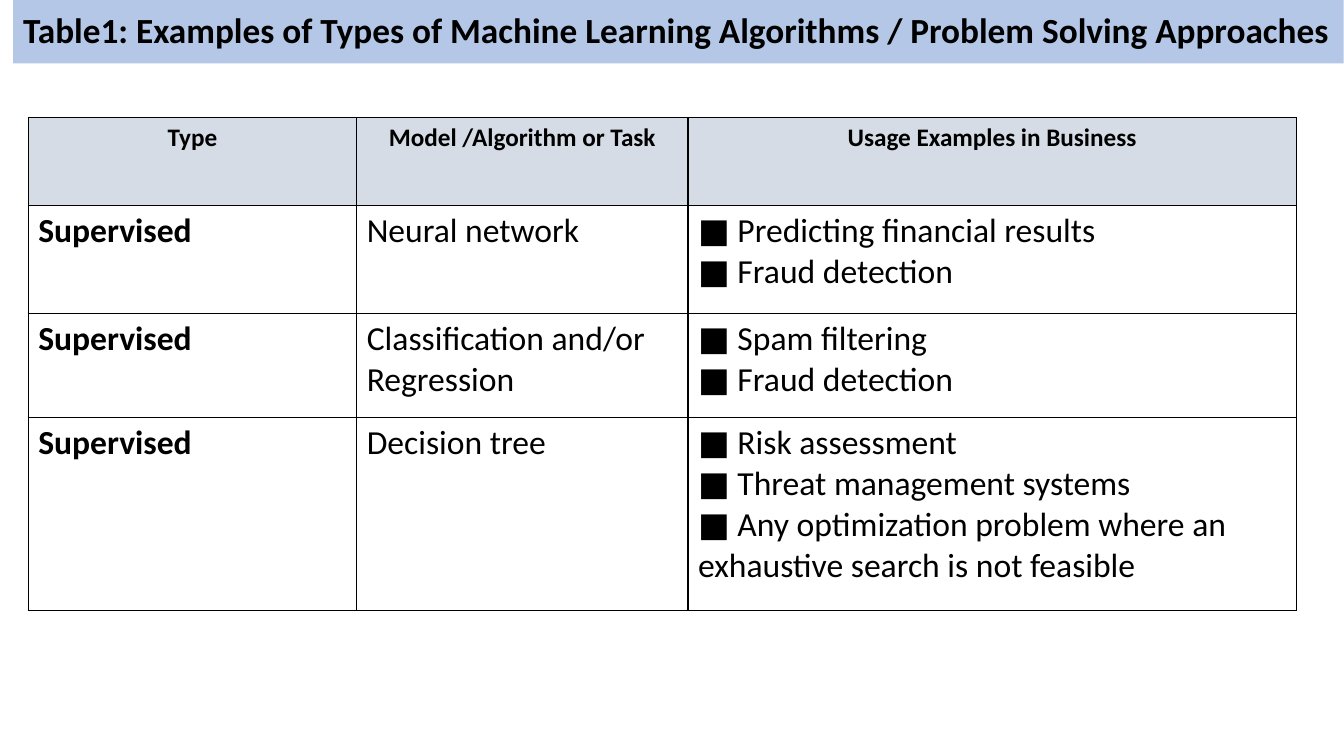
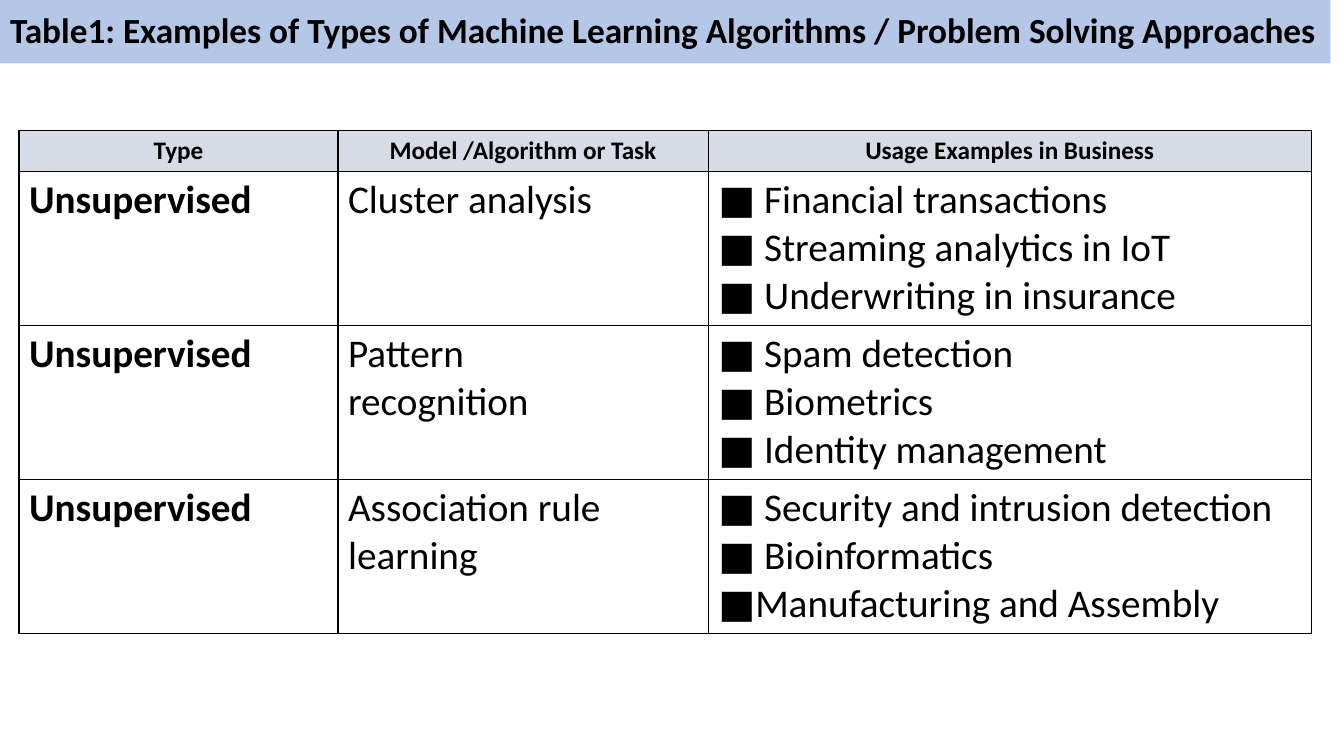
from dataclasses import dataclass

from lxml.etree import SubElement
from pptx import Presentation
from pptx.dml.color import RGBColor as Rgb
from pptx.enum.text import MSO_ANCHOR as Anchor, PP_ALIGN as Align
from pptx.oxml.ns import qn
from pptx.util import Cm, Pt

# Content
TITLE = ("Table1: Examples of Types of Machine Learning Algorithms"
         " / Problem Solving Approaches")
HEADS = ["Type", "Model /Algorithm or Task", "Usage Examples in Business"]
SLIDES = [
    dict(
        band=0.33, left=0.71, top=2.97, size=24,
        cols=[8.28, 8.35, 15.33], rows=[2.2, 2.73, 2.62, 4.86],
        body=[
            ("Supervised", ["Neural network"],
             ["■ Predicting financial results", "■ Fraud detection"]),
            ("Supervised", ["Classification and/or", "Regression"],
             ["■ Spam filtering", "■ Fraud detection"]),
            ("Supervised", ["Decision tree"],
             ["■ Risk assessment", "■ Threat management systems",
              "■ Any optimization problem where an exhaustive search"
              " is not feasible"]),
        ],
    ),
    dict(
        band=0, left=0.48, top=3.28, size=28,
        cols=[8.04, 9.33, 15.2], rows=[1.04, 3.88, 3.88, 3.88],
        body=[
            ("Unsupervised", ["Cluster analysis"],
             ["■ Financial transactions", "■ Streaming analytics in IoT",
              "■ Underwriting in insurance"]),
            ("Unsupervised", ["Pattern", "recognition"],
             ["■ Spam detection", "■ Biometrics",
              "■ Identity management"]),
            ("Unsupervised", ["Association rule", "learning"],
             ["■ Security and intrusion detection", "■ Bioinformatics",
              "■Manufacturing and Assembly"]),
        ],
    ),
]


@dataclass(frozen=True)
class Theme:
    font: str = "Calibri"
    ink: str = "000000"
    band: str = "B4C7E7"
    head: str = "D6DCE5"
    title: float = 25.2
    label: float = 18
    rule: float = 1


THEME = Theme()


def style(para, size, bold, align=Align.LEFT):
    para.alignment = align
    font = para.font
    font.name, font.size, font.bold = THEME.font, Pt(size), bold
    font.color.rgb = Rgb.from_string(THEME.ink)


def paint(part, color):
    part.fill.solid()
    part.fill.fore_color.rgb = Rgb.from_string(color)


# Title band
def add_title(slide, left):
    title = slide.shapes.title
    title.left, title.top = Cm(left), Cm(0)
    title.width, title.height = Cm(33.53), Cm(1.6)
    paint(title, THEME.band)
    frame = title.text_frame
    frame.text = TITLE
    frame.word_wrap = True
    frame.margin_right = Cm(0)
    frame.vertical_anchor = Anchor.MIDDLE
    para = frame.paragraphs[0]
    para.line_spacing = 0.9
    style(para, THEME.title, True)


# Table cells
def add_rules(cell):
    props = cell._tc.get_or_add_tcPr()
    for side in ("lnL", "lnR", "lnT", "lnB"):
        line = SubElement(props, qn(f"a:{side}"), w=str(Pt(THEME.rule)))
        fill = SubElement(line, qn("a:solidFill"))
        SubElement(fill, qn("a:srgbClr"), val=THEME.ink)


def fill_cell(cell, lines, size, bold, head):
    add_rules(cell)
    if head:
        paint(cell, THEME.head)
    else:
        cell.fill.background()
    cell.text = "\n".join(lines)
    for para in cell.text_frame.paragraphs:
        style(para, size, bold, Align.CENTER if head else Align.LEFT)


def add_grid(slide, data):
    cols, rows = data["cols"], data["rows"]
    table = slide.shapes.add_table(
        len(rows), len(cols), Cm(data["left"]), Cm(data["top"]),
        Cm(sum(cols)), Cm(sum(rows))).table
    table.first_row = table.horz_banding = False
    for col, width in zip(table.columns, cols):
        col.width = Cm(width)
    for row, height in zip(table.rows, rows):
        row.height = Cm(height)

    for c, text in enumerate(HEADS):
        fill_cell(table.cell(0, c), [text], THEME.label, True, True)
    for r, (kind, model, uses) in enumerate(data["body"], 1):
        for c, lines in enumerate(([kind], model, uses)):
            fill_cell(table.cell(r, c), lines, data["size"], c == 0, False)


def main():
    deck = Presentation()
    deck.slide_width, deck.slide_height = Cm(33.87), Cm(19.05)
    for data in SLIDES:
        slide = deck.slides.add_slide(deck.slide_layouts[5])
        add_title(slide, data["band"])
        add_grid(slide, data)
    deck.save("out.pptx")


if __name__ == "__main__":
    main()
